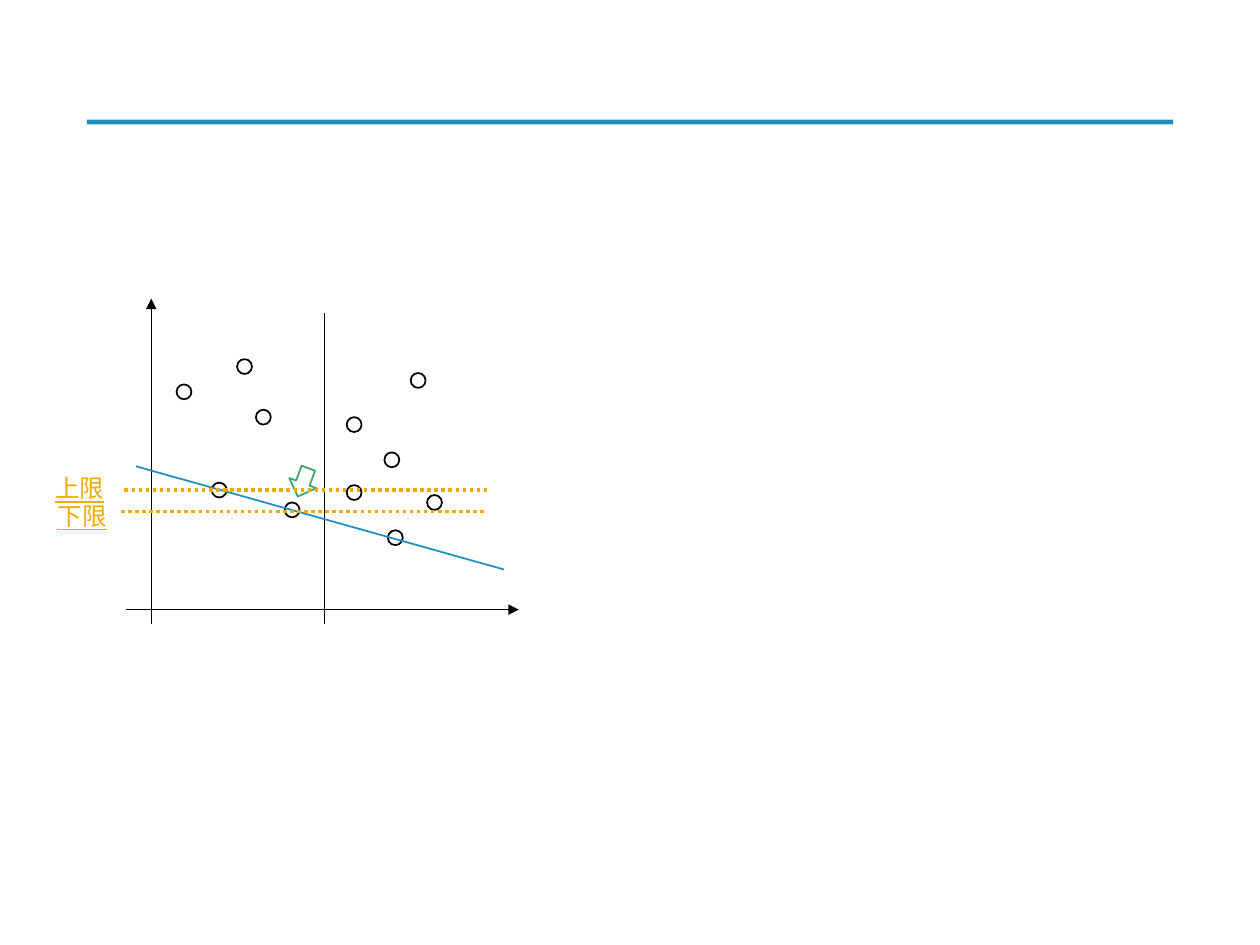
import pptx
import pptx.dml.color
import pptx.enum.dml
import pptx.enum.shapes
import pptx.enum.text
import pptx.oxml.ns
import pptx.util
from lxml import etree

Cm = pptx.util.Cm
Pt = pptx.util.Pt
RGBColor = pptx.dml.color.RGBColor
SHAPE = pptx.enum.shapes.MSO_SHAPE
qn = pptx.oxml.ns.qn

BLACK = RGBColor(0x00, 0x00, 0x00)
BLUE = RGBColor(0x20, 0x8D, 0xC3)
GREEN = RGBColor(0x37, 0xA7, 0x6F)
AMBER = RGBColor(0xF2, 0xAA, 0x00)

POINT_SIZE = 0.3
POINTS = [
    (4.27, 9.73), (3.56, 7.75), (7.82, 10.69), (5.74, 10.13),
    (5.16, 8.26), (6.99, 9.78), (6.99, 8.41), (4.78, 7.24),
    (8.61, 9.98), (7.75, 9.12), (8.28, 7.52),
]


class PlotSlide:
    font = "Calibri"
    size = Pt(14)

    def __init__(self, s):
        self.s = s
        self.plot = s.shapes.add_group_shape()

    def rule(self, x, y, w, h, color):
        sp = self.s.shapes.add_shape(SHAPE.RECTANGLE, Cm(x), Cm(y), Cm(w), Cm(h))
        sp.shadow.inherit = False
        sp.fill.solid()
        sp.fill.fore_color.rgb = color
        sp.line.fill.background()

    def outline(self, kind, x, y, w, h, color, rotation=0):
        sp = self.plot.shapes.add_shape(kind, Cm(x), Cm(y), Cm(w), Cm(h))
        sp.shadow.inherit = False
        sp.fill.background()
        sp.line.color.rgb = color
        sp.line.width = Pt(1)
        sp.rotation = rotation

    def line(self, x1, y1, x2, y2, color, width, arrow=False, dotted=False):
        cx = self.plot.shapes.add_connector(
            pptx.enum.shapes.MSO_CONNECTOR.STRAIGHT, Cm(x1), Cm(y1), Cm(x2), Cm(y2))
        cx.line.color.rgb = color
        cx.line.width = Pt(width)
        if dotted:
            cx.line.dash_style = pptx.enum.dml.MSO_LINE.ROUND_DOT
        if arrow:
            etree.SubElement(cx.line._get_or_add_ln(), qn("a:tailEnd"), type="triangle")
        etree.SubElement(cx._element.spPr, qn("a:effectLst"))

    def label(self, text, x, y, color):
        sp = self.plot.shapes.add_textbox(Cm(x), Cm(y), Cm(1.5), Cm(0.86))
        tf = sp.text_frame
        tf.word_wrap = False
        tf.auto_size = pptx.enum.text.MSO_AUTO_SIZE.SHAPE_TO_FIT_TEXT
        r = tf.paragraphs[0].add_run()
        r.text = text
        r.font.name = self.font
        r.font.size = self.size
        r.font.underline = True
        r.font.color.rgb = color


def main():
    prs = pptx.Presentation()
    prs.slide_width, prs.slide_height = Cm(25.4), Cm(19.05)
    slide = PlotSlide(prs.slides.add_slide(prs.slide_layouts[6]))

    slide.rule(1.75, 2.41, 21.9, 0.1, BLUE)

    slide.line(3.05, 12.57, 3.05, 6.02, BLACK, 0.5, arrow=True)
    slide.line(2.54, 12.29, 10.46, 12.29, BLACK, 0.5, arrow=True)
    slide.line(6.55, 12.57, 6.55, 6.3, BLACK, 0.5)

    for x, y in POINTS:
        slide.outline(SHAPE.OVAL, x, y, POINT_SIZE, POINT_SIZE, BLACK)

    slide.line(2.74, 9.4, 10.16, 11.48, BLUE, 1)
    slide.outline(SHAPE.DOWN_ARROW, 5.82, 9.42, 0.58, 0.61, GREEN, rotation=20.5)

    slide.line(2.44, 10.31, 9.8, 10.31, AMBER, 2, dotted=True)
    slide.label("下限", 0.91, 9.98, AMBER)
    slide.line(2.51, 9.88, 9.86, 9.88, AMBER, 2, dotted=True)
    slide.label("上限", 0.86, 9.42, AMBER)

    prs.save("out.pptx")


if __name__ == "__main__":
    main()
